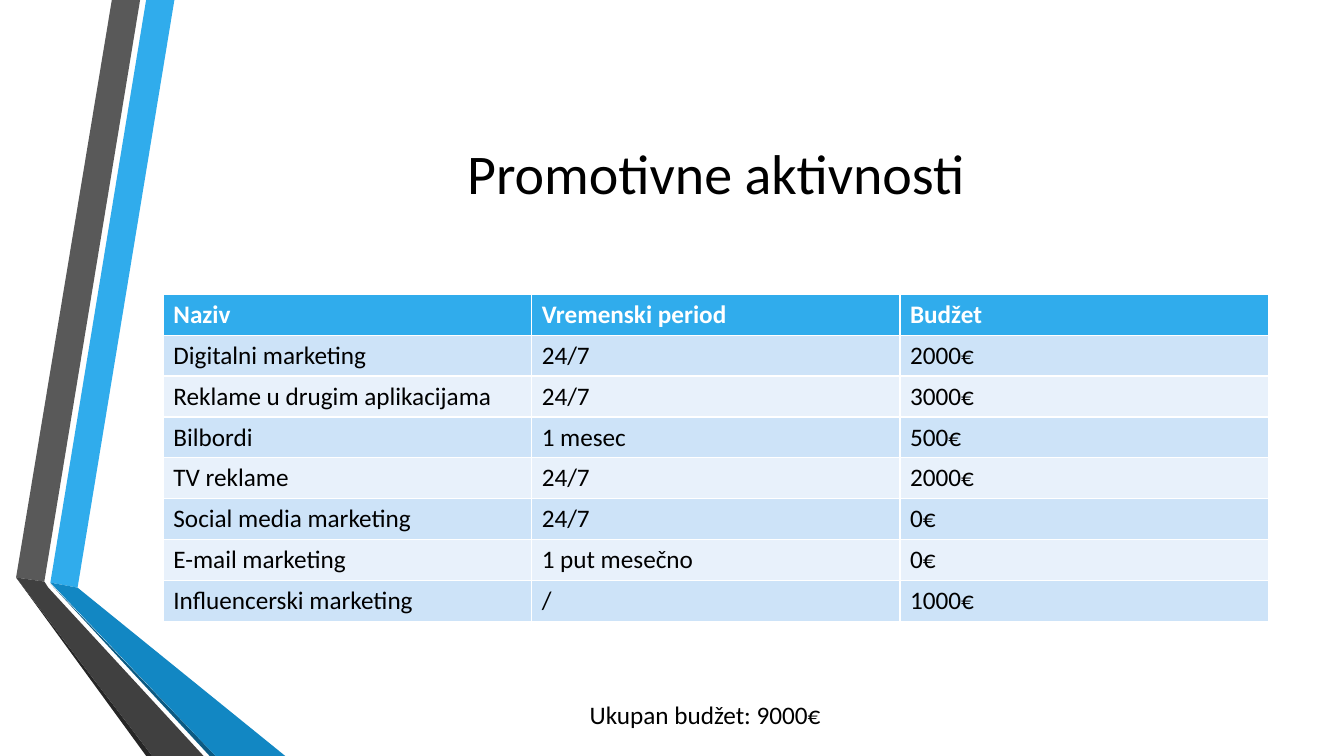
import pptx
import pptx.util
import pptx.dml.color
import pptx.enum.text
from dataclasses import dataclass

Inches = pptx.util.Inches
Align = pptx.enum.text.PP_ALIGN
Anchor = pptx.enum.text.MSO_ANCHOR


@dataclass(frozen=True)
class Theme:
    font: str = "Calibri"
    head: int = 40
    body: int = 18
    ink: str = "000000"
    paper: str = "FFFFFF"
    blue: str = "30ACEC"
    sea: str = "1287C3"
    navy: str = "0C5A82"
    gray: str = "595959"
    dark: str = "404040"
    coal: str = "262626"
    bands: tuple = ("CDE3F8", "E8F1FB")


RIBBONS = [
    ("blue", [(0.5, 5.78), (0.77, 5.83), (1.73, 0), (1.45, 0)]),
    ("gray", [(1.39, 0), (1.11, 0), (0.16, 5.73), (0.44, 5.77)]),
    ("coal", [(0.16, 5.73), (1.45, 7.5), (1.51, 7.5)]),
    ("navy", [(0.5, 5.79), (2.08, 7.5), (2.14, 7.5)]),
    ("sea", [(0.5, 5.78), (2.14, 7.5), (2.83, 7.5), (0.77, 5.83)]),
    ("dark", [(2.02, 7.5), (0.48, 5.83), (0.44, 5.77), (0.16, 5.73), (1.51, 7.5)]),
]

PLAN = [
    ("Naziv", "Vremenski period", "Budžet"),
    ("Digitalni marketing", "24/7", "2000€"),
    ("Reklame u drugim aplikacijama", "24/7", "3000€"),
    ("Bilbordi", "1 mesec", "500€"),
    ("TV reklame", "24/7", "2000€"),
    ("Social media marketing", "24/7", "0€"),
    ("E-mail marketing", "1 put mesečno", "0€"),
    ("Influencerski marketing", "/", "1000€"),
]


def rgb(code):
    return pptx.dml.color.RGBColor.from_string(code)


def assign(obj, values):
    for name, value in values.items():
        setattr(obj, name, value)


class Deck:
    def __init__(self, theme):
        self.theme = theme
        self.prs = pptx.Presentation()
        assign(self.prs, {"slide_width": Inches(13.33), "slide_height": Inches(7.5)})
        self.slide = self.prs.slides.add_slide(self.prs.slide_layouts[5])

    def put_text(self, frame, text, size, color, bold=False, align=Align.LEFT):
        frame.text = text
        para = frame.paragraphs[0]
        para.alignment = align
        font = para.runs[0].font
        assign(font, {"name": self.theme.font, "size": pptx.util.Pt(size), "bold": bold})
        font.color.rgb = rgb(color)

    def title(self, text, left, top, width, height):
        shape = self.slide.shapes.title
        box = {"left": left, "top": top, "width": width, "height": height}
        assign(shape, {side: Inches(size) for side, size in box.items()})
        shape.text_frame.vertical_anchor = Anchor.MIDDLE
        self.put_text(shape.text_frame, text, self.theme.head, self.theme.ink, align=Align.CENTER)

    def ribbon(self, color, points):
        first, *rest = [(Inches(x), Inches(y)) for x, y in points]
        pen = self.slide.shapes.build_freeform(*first)
        pen.add_line_segments(rest, close=True)
        shape = pen.convert_to_shape()
        shape.shadow.inherit = False
        shape.fill.solid()
        shape.fill.fore_color.rgb = rgb(color)
        shape.line.fill.background()

    def table(self, rows, left, top, width, height):
        """Add a table with a bold header and banded rows."""
        theme = self.theme
        frame = self.slide.shapes.add_table(
            len(rows), len(rows[0]), *map(Inches, (left, top, width, height)))
        for r, row in enumerate(rows):
            head = r == 0
            fill = theme.blue if head else theme.bands[(r - 1) % 2]
            color = theme.paper if head else theme.ink
            for c, text in enumerate(row):
                cell = frame.table.cell(r, c)
                cell.fill.solid()
                cell.fill.fore_color.rgb = rgb(fill)
                self.put_text(cell.text_frame, text, theme.body, color, bold=head)

    def label(self, text, left, top, width, height):
        box = self.slide.shapes.add_textbox(*map(Inches, (left, top, width, height)))
        box.text_frame.word_wrap = False
        self.put_text(box.text_frame, text, self.theme.body, self.theme.ink)


def main():
    theme = Theme()
    deck = Deck(theme)
    for color, points in RIBBONS:
        deck.ribbon(getattr(theme, color), points)
    deck.title("Promotivne aktivnosti", 1.62, 0.75, 10.96, 1.92)
    deck.table(PLAN, 1.62, 2.92, 10.96, 3.24)
    deck.label("Ukupan budžet: 9000€", 5.75, 6.89, 2.57, 0.4)
    deck.prs.save("out.pptx")


if __name__ == "__main__":
    main()
